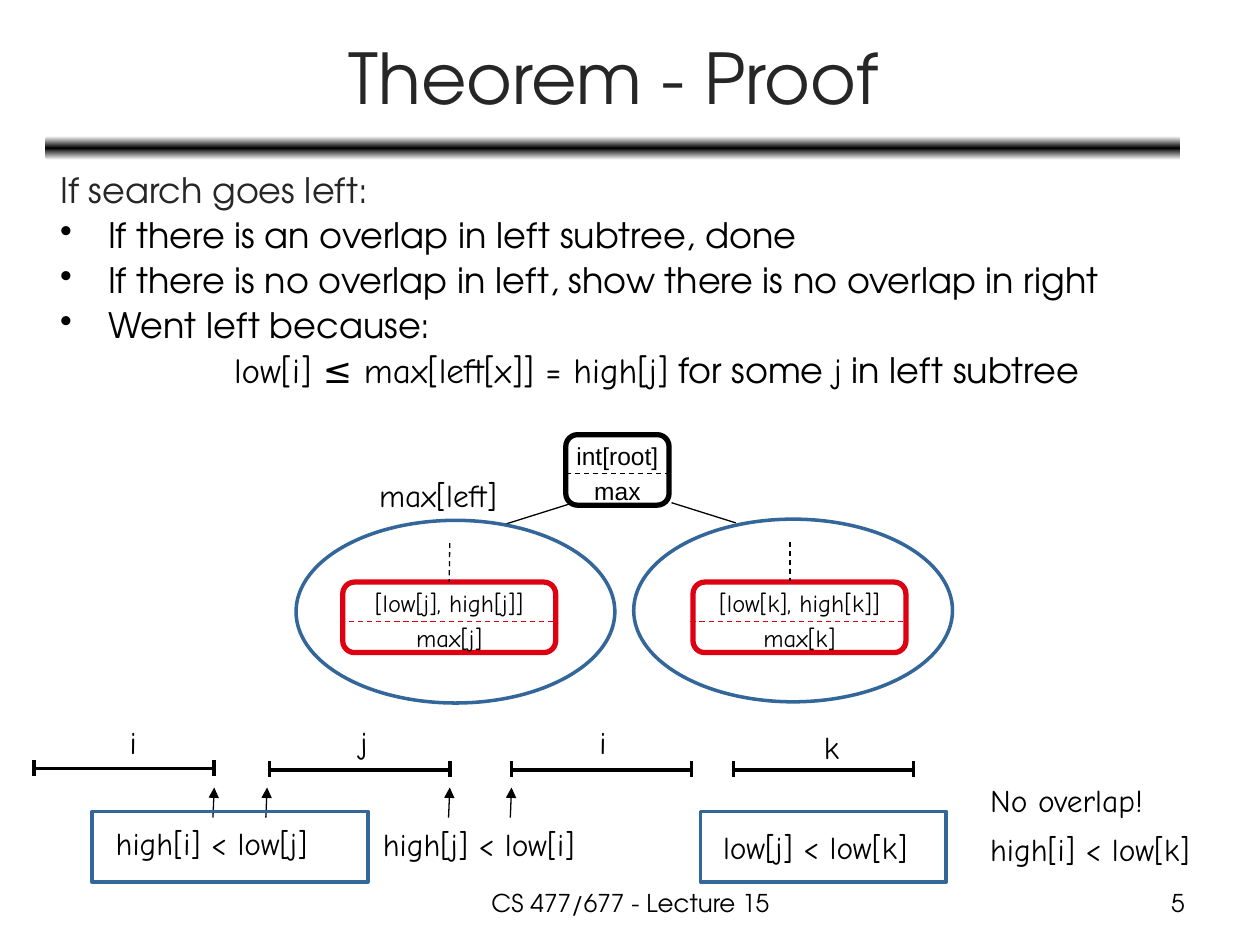
from copy import deepcopy

from pptx import Presentation
from pptx import util as u
from pptx.dml.color import RGBColor
from pptx.enum import dml, shapes, text
from pptx.oxml.ns import qn
from pptx.oxml.xmlchemy import OxmlElement

In = u.Inches


def colour(hex_string):
    return RGBColor.from_string(hex_string)


class Sketch:
    sans = "TeX Gyre Adventor"
    hand = "Comic Neue"
    plain = "Arial"
    black = "000000"
    grey = "262626"
    red = "DD0111"
    blue = "336699"

    def __init__(self, page):
        self.page = page

    def style(self, span, font, size, ink=black):
        span.font.name = font
        span.font.size = u.Pt(size)
        span.font.color.rgb = colour(ink)

    def title(self, words, left, top, width, height):
        box = self.page.shapes.title
        box.left, box.top, box.width, box.height = map(In, (left, top, width, height))
        frame = box.text_frame
        frame.text = words
        frame.auto_size = text.MSO_AUTO_SIZE.NONE
        frame.vertical_anchor = text.MSO_ANCHOR.MIDDLE
        frame.paragraphs[0].alignment = text.PP_ALIGN.CENTER
        self.style(frame.paragraphs[0].runs[0], self.sans, 40, self.grey)

    def fill_text(self, frame, words, font, size, align, spacing=None):
        frame.text = words
        for para in frame.paragraphs:
            para.alignment = align
            if spacing:
                para.line_spacing = spacing
            for span in para.runs:
                self.style(span, font, size)

    def label(self, words, left, top, width, height=0.4, font=hand, size=18,
              align=text.PP_ALIGN.LEFT, spacing=None, wrap=True):
        box = self.page.shapes.add_textbox(In(left), In(top), In(width), In(height))
        box.text_frame.word_wrap = wrap
        self.fill_text(box.text_frame, words, font, size, align, spacing)

    def outline(self, kind, left, top, width, height, ink=blue, weight=2):
        shape = self.page.shapes.add_shape(kind, In(left), In(top), In(width), In(height))
        shape.shadow.inherit = False
        shape.fill.background()
        shape.line.color.rgb = colour(ink)
        shape.line.width = u.Pt(weight)
        return shape

    def line(self, x1, y1, x2, y2, ink=black, weight=0.75, dashed=False, arrow=False):
        line = self.page.shapes.add_connector(
            shapes.MSO_CONNECTOR.STRAIGHT, In(x1), In(y1), In(x2), In(y2))
        line.line.color.rgb = colour(ink)
        line.line.width = u.Pt(weight)
        if dashed:
            line.line.dash_style = dml.MSO_LINE.DASH
        properties = line._element.spPr
        if arrow:
            tail = OxmlElement("a:tailEnd")
            tail.set("type", "triangle")
            properties.find(qn("a:ln")).append(tail)
        properties.append(OxmlElement("a:effectLst"))
        return line

    def rule(self, left, top, width, height):
        bar = self.outline(shapes.MSO_SHAPE.ROUNDED_RECTANGLE, left, top, width, height)
        bar.line.fill.background()
        bar.fill.gradient()
        bar.fill.gradient_angle = 90
        stops = bar._element.spPr.find(qn("a:gradFill")).find(qn("a:gsLst"))
        stops.append(deepcopy(stops[0]))
        for stop, ink, place in zip(bar.fill.gradient_stops,
                                    ("FFFFFF", self.black, "FFFFFF"), (0, 0.5, 1)):
            stop.color.rgb = colour(ink)
            stop.position = place

    def node(self, words, left, top, width, font, ink, divider_left):
        box = self.outline(shapes.MSO_SHAPE.ROUNDED_RECTANGLE, left, top, width, 0.56, ink, 3)
        box.text_frame.word_wrap = False
        box.text_frame.vertical_anchor = text.MSO_ANCHOR.MIDDLE
        self.fill_text(box.text_frame, words, font, 14, text.PP_ALIGN.CENTER, 1.2)
        self.line(divider_left, top + 0.31, divider_left + width + 0.01, top + 0.31,
                  ink, dashed=True)
        return box

    def interval(self, name, left, y, name_left, name_top, name_width):
        right = left + 1.43
        self.line(left, y, right, y, weight=2)
        for x in (left, right):
            self.line(x, y - 0.07, x, y + 0.06, weight=2)
        self.label(name, name_left, name_top, name_width, wrap=False)

    def body(self, lines, left, top, width, height):
        frame = self.page.shapes.add_textbox(In(left), In(top), In(width), In(height)).text_frame
        frame.word_wrap = True
        for number, (spans, indent, hanging, bullet, ink) in enumerate(lines):
            para = frame.add_paragraph() if number else frame.paragraphs[0]
            para.line_spacing = 0.9
            para.space_before = u.Pt(4)
            properties = para._p.get_or_add_pPr()
            properties.set("marL", str(In(indent)))
            properties.set("indent", str(In(-hanging)))
            if bullet:
                mark = OxmlElement("a:buChar")
                mark.set("char", "•")
                properties.append(mark)
            for words, font in spans:
                span = para.add_run()
                span.text = words
                self.style(span, font, 20, ink)


def main():
    deck = Presentation()
    deck.slide_width, deck.slide_height = In(10), In(7.5)
    sketch = Sketch(deck.slides.add_slide(deck.slide_layouts[5]))
    sans, hand, black = sketch.sans, sketch.hand, sketch.black

    sketch.rule(0.36, 1.08, 9.01, 0.19)
    sketch.title("Theorem - Proof", 0.37, 0.11, 9, 0.99)

    bullets = ("If there is an overlap in left subtree, done",
               "If there is no overlap in left, show there is no overlap in right",
               "Went left because:")
    formula = [("low[i] ≤ max[left[x]] = high[j]", hand), (" for some ", sans),
               ("j", hand), (" in left subtree", sans)]
    sketch.body(
        [([("If search goes left:", sans)], 0.38, 0.38, False, sketch.grey)]
        + [([(words, sans)], 0.38, 0.38, True, black) for words in bullets]
        + [(formula, 1.38, 0, False, black)],
        0.38, 1.33, 9, 2.46)

    sketch.node("int[root]\nmax", 4.49, 3.45, 0.82, sketch.plain, black, 4.49)
    left_node = sketch.node("[low[j], high[j]]\nmax[j]", 2.72, 4.62, 1.69, hand, sketch.red, 2.7)
    sketch.node("[low[k], high[k]]\nmax[k]", 5.5, 4.62, 1.69, hand, sketch.red, 5.48)
    sketch.line(4.52, 4, 3.98, 4.17)
    sketch.line(5.33, 3.99, 5.84, 4.15)
    for left, top in ((2.35, 4.13), (5.03, 4.12)):
        sketch.outline(shapes.MSO_SHAPE.OVAL, left, top, 2.53, 1.45)
    stem = sketch.line(3.57, 4.31, 3.57, 4.62, dashed=True)
    stem.end_connect(left_node, 0)
    sketch.line(6.27, 4.3, 6.27, 4.61, dashed=True)
    sketch.label("max[left]", 2.91, 3.73, 1.31, wrap=False)

    for interval in (("i", 0.27, 6.1, 0.93, 5.69, 0.27),
                     ("j", 2.14, 6.11, 2.76, 5.69, 0.3),
                     ("i", 4.06, 6.11, 4.66, 5.69, 0.27),
                     ("k", 5.82, 6.11, 6.44, 5.73, 0.34)):
        sketch.interval(*interval)
    for x in (1.69, 2.11, 3.56, 4.05):
        sketch.line(x, 6.49, x + 0.01, 6.25, arrow=True)

    for left, width in ((0.73, 2.19), (5.56, 1.95)):
        sketch.outline(shapes.MSO_SHAPE.RECTANGLE, left, 6.44, width, 0.56)
    sketch.label("high[i] < low[j]", 0.82, 6.49, 1.95)
    sketch.label("high[j] < low[i]", 2.94, 6.5, 2.17)
    sketch.label("low[j] < low[k]", 5.64, 6.52, 1.87)
    sketch.label("No overlap!\nhigh[i] < low[k]", 7.76, 6.06, 2.12, 0.88, spacing=1.3)

    sketch.label("CS 477/677 - Lecture 15", 3.42, 7, 3.17, 0.35, sans, 14, text.PP_ALIGN.CENTER)
    sketch.label("5", 7.17, 7, 2.33, 0.35, sans, 14, text.PP_ALIGN.RIGHT)
    deck.save("out.pptx")


if __name__ == "__main__":
    main()
